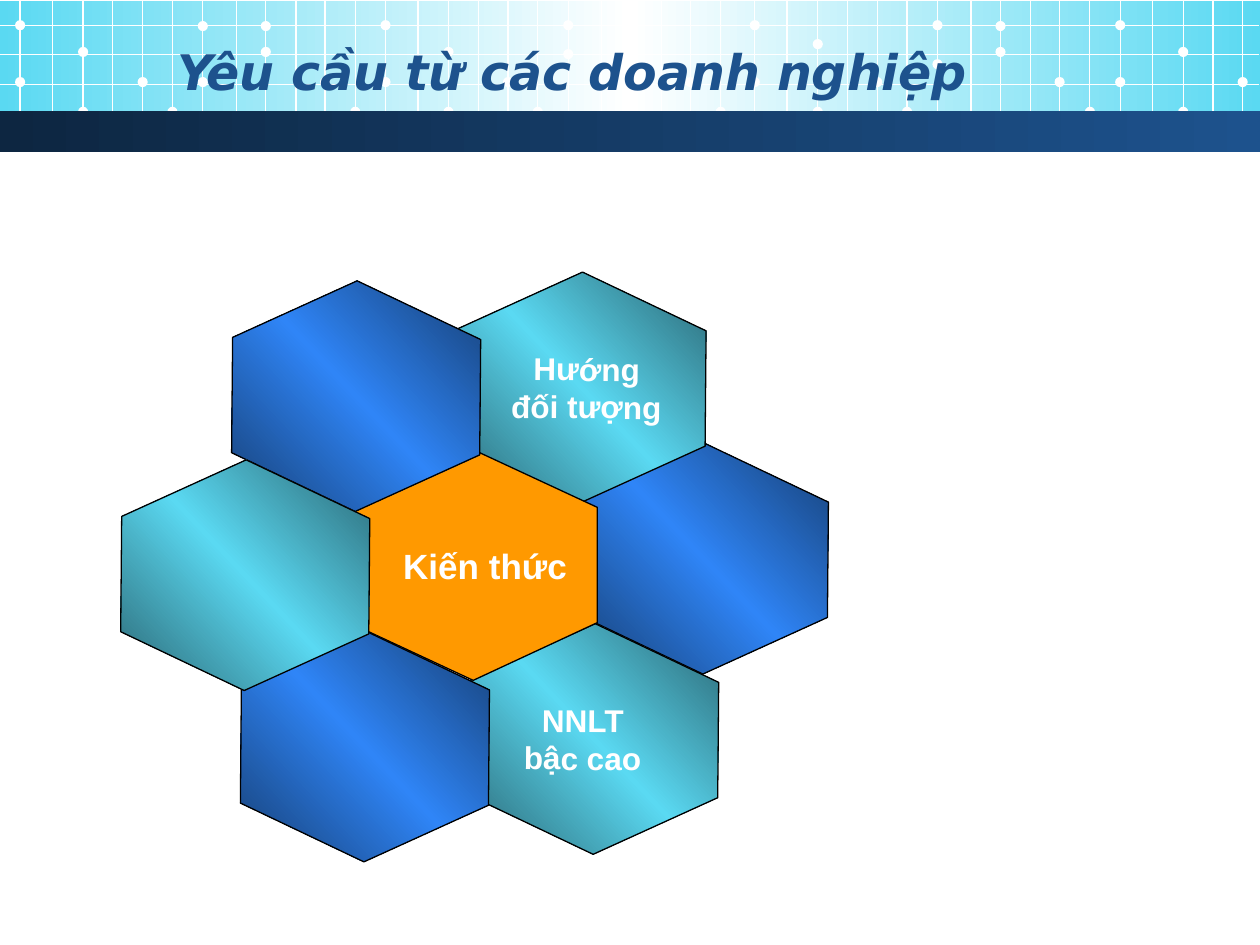
from copy import deepcopy

from pptx import Presentation
from pptx.dml.color import RGBColor
from pptx.enum.shapes import MSO_CONNECTOR as CONNECTOR, MSO_SHAPE as SHAPE
from pptx.enum.text import MSO_ANCHOR as ANCHOR, PP_ALIGN as ALIGN
from pptx.oxml.ns import qn
from pptx.util import Pt
from lxml import etree

COLORS = {
    "white": "FFFFFF", "black": "000000", "orange": "FF9900", "navy": "0D2641",
    "title": "1D528D", "cyan": "5AD9F2", "teal": "2A6470",
    "blue": "2F85F7", "deep": "163E72",
}
TITLE_FONT = {"name": "DejaVu Sans", "size": Pt(28), "bold": True, "italic": True}
LABEL_FONT = {"name": "Arial", "size": Pt(18), "bold": True}
CORE_FONT = {**LABEL_FONT, "size": Pt(20)}
BLUE = ("deep", "blue", "deep")
TEAL = ("teal", "cyan", "teal")

# The header grid repeats one tile of twelve uneven columns.
TILE_LEFTS = (11.5, 220.3, 431.3, 640.1)
COLUMN_OFFSETS = (0, 18.5, 36, 53, 70, 87, 104.4, 123.6, 140.4, 157.7, 174.2, 191.5)
ROW_TOPS = (14.4, 31, 48.2, 64.1)
DOT_SIZE = 5.8
DOT_TOPS = {0: (44, 11.5), 2: (26.8, 61), 4: (44,), 5: (61,), 6: (44, 12),
            8: (26.8, 12), 10: (44,), 11: (61,)}
DOT_CHANGES = ({}, {6: (28, 11.5)}, {2: (22.3, 61), 6: (33.8, 11.5)}, {})

HEX_WIDTH, HEX_HEIGHT = 131.8, 141.8
# left and top within the cluster, rotation, fill, label lines, label font
HEXAGONS = (
    (262.1, 97.9, 90.5, BLUE, (), LABEL_FONT),
    (192.2, 0, 90.5, TEAL, ("Hướng", "đối tượng"), LABEL_FONT),
    (199.4, 200.9, 90.5, TEAL, ("NNLT", "bậc cao"), LABEL_FONT),
    (130.3, 101.5, 90, ("orange",), ("Kiến thức",), CORE_FONT),
    (63.4, 5, 90.5, BLUE, (), LABEL_FONT),
    (68.4, 205.2, 90.5, BLUE, (), LABEL_FONT),
    (0, 107.3, 90.5, TEAL, (), LABEL_FONT),
)


def rgb(name):
    return RGBColor.from_string(COLORS[name])


def paint(fill, names, angle=0):
    """Fill with one colour, or with a gradient of evenly spaced colours."""
    if len(names) == 1:
        fill.solid()
        fill.fore_color.rgb = rgb(names[0])
        return
    fill.gradient()
    fill.gradient_angle = angle
    if len(names) == 3:
        last = fill.gradient_stops[1]._gs
        last.addprevious(deepcopy(last))
    for index, (stop, name) in enumerate(zip(fill.gradient_stops, names)):
        stop.position = index / (len(names) - 1)
        stop.color.rgb = rgb(name)


def add_filled(shapes, kind, left, top, width, height, names, angle=0):
    shape = shapes.add_shape(kind, Pt(left), Pt(top), Pt(width), Pt(height))
    shape.shadow.inherit = False
    paint(shape.fill, names, angle)
    shape.line.fill.background()
    return shape


def add_grid_line(shapes, x1, y1, x2, y2):
    line = shapes.add_connector(CONNECTOR.STRAIGHT, Pt(x1), Pt(y1), Pt(x2), Pt(y2))
    line.line.color.rgb = rgb("white")
    line.line.width = Pt(0.75)
    etree.SubElement(line._element.spPr, qn("a:effectLst"))


def write_lines(frame, lines, font_values, color):
    for index, text in enumerate(lines):
        paragraph = frame.add_paragraph() if index else frame.paragraphs[0]
        paragraph.alignment = ALIGN.CENTER
        run = paragraph.add_run()
        run.text = text
        for key, value in font_values.items():
            setattr(run.font, key, value)
        run.font.color.rgb = rgb(color)


def add_tile(slide, left, top, height, right, changes):
    tile = slide.shapes.add_group_shape().shapes
    dots = {**DOT_TOPS, **changes}
    for column, offset in enumerate(COLUMN_OFFSETS):
        x = left + offset
        if x > right:
            break
        add_grid_line(tile, x, top, x, top + height)
        for dot_top in dots.get(column, ()):
            add_filled(tile, SHAPE.OVAL, x - DOT_SIZE / 2, top + dot_top,
                       DOT_SIZE, DOT_SIZE, ("white",))


def add_header(slide, left, top, width):
    add_filled(slide.shapes, SHAPE.RECTANGLE, left, top + 0.7, width, 73.4,
               ("cyan", "white", "cyan"))
    for tile_left, changes in zip(TILE_LEFTS, DOT_CHANGES):
        add_tile(slide, left + tile_left, top, 79.2, left + width, changes)
    rows = slide.shapes.add_group_shape().shapes
    for row_top in ROW_TOPS:
        add_grid_line(rows, left - 0.7, top + row_top, left + width - 0.7, top + row_top)
    add_filled(slide.shapes, SHAPE.RECTANGLE, left, top + 63.2, width, 23.8,
               ("navy", "title"))


def add_title(slide, left, top, width, height):
    title = slide.shapes.add_textbox(Pt(left), Pt(top), Pt(width), Pt(height))
    frame = title.text_frame
    frame.word_wrap = True
    frame.vertical_anchor = ANCHOR.MIDDLE
    write_lines(frame, ("Yêu cầu từ các doanh nghiệp",), TITLE_FONT, "title")


def add_hexagon_cluster(slide, left, top):
    cluster = slide.shapes.add_group_shape().shapes
    for dx, dy, rotation, fill, lines, font_values in HEXAGONS:
        hexagon = add_filled(cluster, SHAPE.HEXAGON, left + dx, top + dy,
                             HEX_WIDTH, HEX_HEIGHT, fill, 314)
        hexagon.rotation = rotation
        hexagon.adjustments[0] = 0.25
        hexagon.line.color.rgb = rgb("black")
        hexagon.line.width = Pt(0.75)
        if not lines:
            continue
        frame = hexagon.text_frame
        frame.word_wrap = False
        frame.vertical_anchor = ANCHOR.MIDDLE
        frame.margin_left = frame.margin_right = Pt(3.6)
        frame.margin_top = frame.margin_bottom = Pt(7.2)
        # Turn the text back upright inside the rotated hexagon.
        body = frame._txBody.bodyPr
        body.set("vert", "eaVert")
        body.set("rot", "10800000")
        write_lines(frame, lines, font_values, "white")


def main():
    deck = Presentation()
    deck.slide_width, deck.slide_height = Pt(720), Pt(540)
    slide = deck.slides.add_slide(deck.slide_layouts[6])
    add_header(slide, 0, 0, 720)
    add_title(slide, 36, 18, 581.8, 44.6)
    add_hexagon_cluster(slide, 74.2, 150.5)
    deck.save("out.pptx")


if __name__ == "__main__":
    main()
